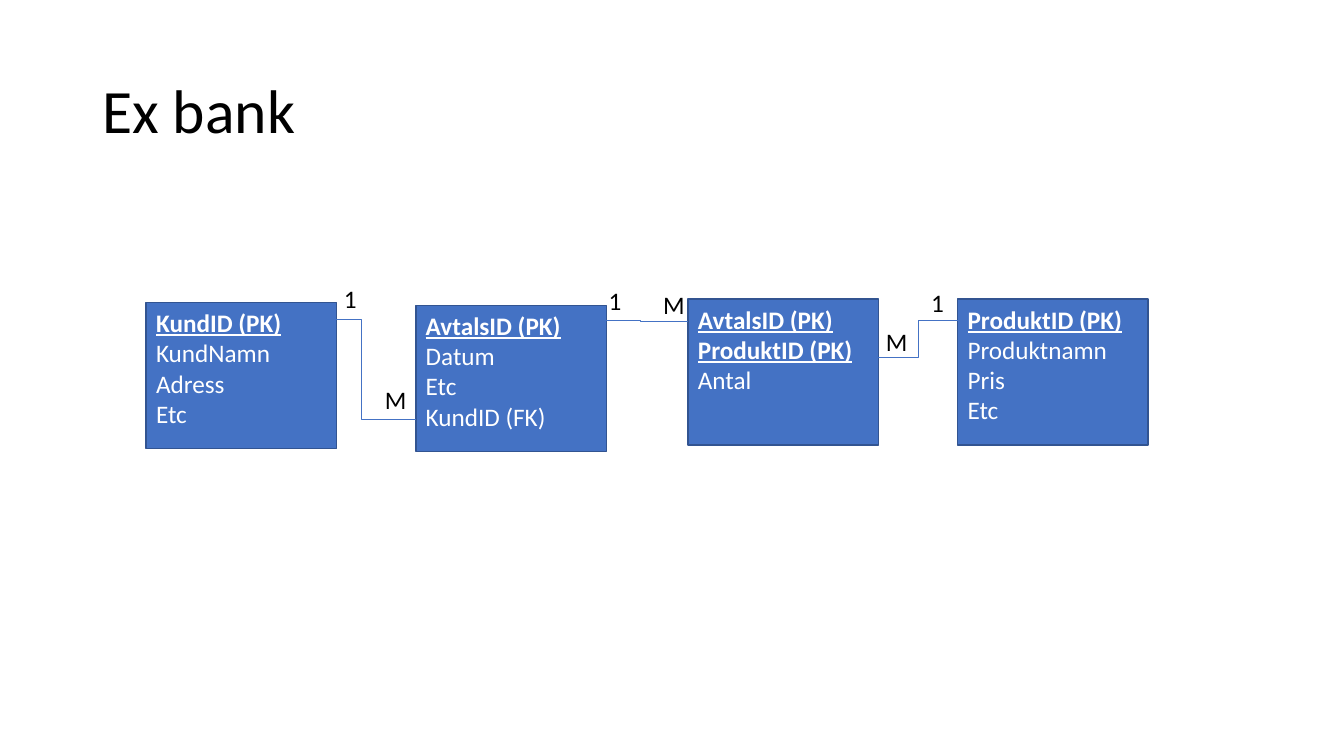
"""Build a slide with the entity-relationship example of a bank."""
from lxml import etree
from pptx import Presentation
from pptx.dml.color import RGBColor
from pptx.enum.shapes import MSO_CONNECTOR, MSO_SHAPE
from pptx.enum.text import MSO_ANCHOR, MSO_AUTO_SIZE, PP_ALIGN
from pptx.oxml.ns import qn
from pptx.util import Pt

RECT = MSO_SHAPE.RECTANGLE
ELBOW = MSO_CONNECTOR.ELBOW
TOP, MIDDLE = MSO_ANCHOR.TOP, MSO_ANCHOR.MIDDLE
LEFT = PP_ALIGN.LEFT
GROW = MSO_AUTO_SIZE.SHAPE_TO_FIT_TEXT
BLUE, DARK_BLUE, WHITE, BLACK = "4472C4", "325491", "FFFFFF", "000000"
BOX_W, BOX_H = 136.1, 104.4


def color(value):
    return RGBColor.from_string(value)


def style(p, size, value, key=False):
    p.alignment = LEFT
    for r in p.runs:
        r.font.name = "Calibri"
        r.font.size = Pt(size)
        r.font.color.rgb = color(value)
        r.font.bold = r.font.underline = key


prs = Presentation()
prs.slide_width, prs.slide_height = Pt(960), Pt(540)
s = prs.slides.add_slide(prs.slide_layouts[6])

sp = s.shapes.add_textbox(Pt(66), Pt(28.8), Pt(828), Pt(104.4))
tf = sp.text_frame
tf.word_wrap = True
tf.vertical_anchor = MIDDLE
tf.text = "Ex bank"
tf.paragraphs[0].line_spacing = 0.9
style(tf.paragraphs[0], 44, BLACK)

tables = [
    (104.4, 216, ["KundID (PK)", "KundNamn", "Adress", "Etc"]),
    (297, 218, ["AvtalsID (PK)", "Datum", "Etc", "KundID (FK)"]),
    (491.4, 213.6, ["AvtalsID (PK)", "ProduktID (PK)", "Antal"]),
    (684, 213.6, ["ProduktID (PK)", "Produktnamn", "Pris", "Etc"]),
]
for x, y, fields in tables:
    sp = s.shapes.add_shape(RECT, Pt(x), Pt(y), Pt(BOX_W), Pt(BOX_H))
    sp.shadow.inherit = False
    sp.fill.solid()
    sp.fill.fore_color.rgb = color(BLUE)
    sp.line.color.rgb = color(DARK_BLUE)
    sp.line.width = Pt(1)
    tf = sp.text_frame
    tf.word_wrap = True
    tf.vertical_anchor = TOP
    tf.text = "\n".join(fields)
    for p in tf.paragraphs:
        style(p, 18, WHITE, key="(PK)" in p.text)

relations = [
    (218.9, 228.4, 297, 299.5),
    (423.4, 228.5, 491.4, 229.5),
    (684, 228.6, 627.5, 255.4),
]
for x1, y1, x2, y2 in relations:
    line = s.shapes.add_connector(ELBOW, Pt(x1), Pt(y1), Pt(x2), Pt(y2))
    line.line.color.rgb = color(BLUE)
    line.line.width = Pt(0.5)
    etree.SubElement(line._element.spPr, qn("a:effectLst"))

label_widths = {"1": 23.8, "M": 30.2}
labels = [
    ("1", 238.6, 198.8),
    ("M", 267.8, 270.8),
    ("1", 427.7, 200.2),
    ("M", 466.6, 203),
    ("M", 625.7, 229.7),
    ("1", 658, 201.6),
]
for text, x, y in labels:
    sp = s.shapes.add_textbox(Pt(x), Pt(y), Pt(label_widths[text]), Pt(29))
    tf = sp.text_frame
    tf.word_wrap = False
    tf.auto_size = GROW
    tf.text = text
    style(tf.paragraphs[0], 18, BLACK)

prs.save("out.pptx")
